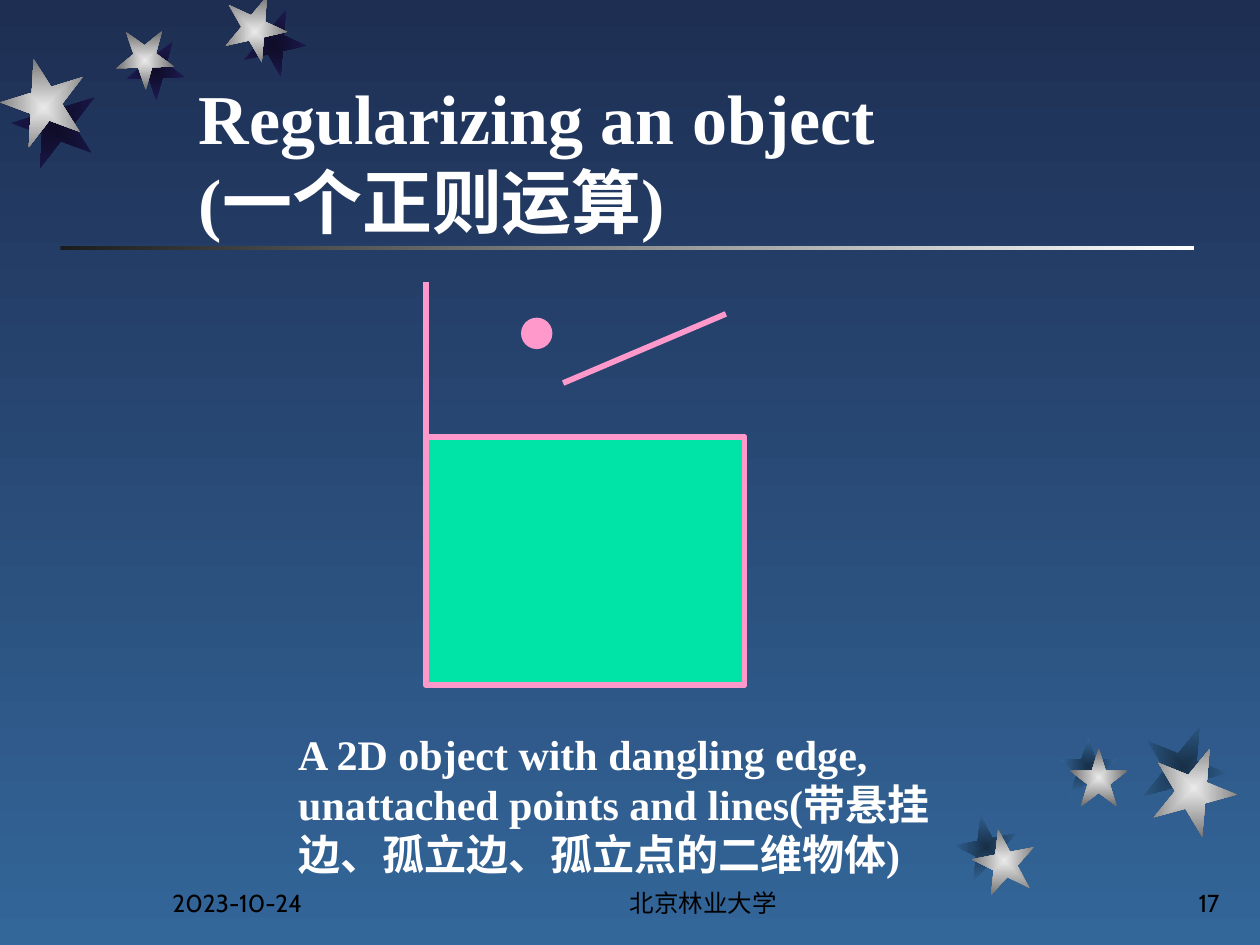
from dataclasses import dataclass
from lxml import etree
from pptx import Presentation
from pptx.dml.color import RGBColor as Rgb
from pptx.enum.shapes import MSO_CONNECTOR as Conn, MSO_SHAPE as Kind
from pptx.enum.text import MSO_ANCHOR as Anchor, MSO_AUTO_SIZE as Auto, PP_ALIGN as Align
from pptx.oxml import parse_xml
from pptx.oxml.ns import nsdecls, qn
from pptx.util import Pt


@dataclass(frozen=True)
class Theme:
    """Colours, fonts and type sizes of the slide."""
    sky: tuple = ("1E2E53", "336699")
    rule: tuple = ("1C1C1C", "FFFFFF")
    lit: tuple = ("EAEAEA", "6C6C6C")
    night: tuple = ("0E0C26", "1E1A53")
    dusk: tuple = ("182F47", "336699")
    white: str = "FFFFFF"
    black: str = "000000"
    pink: str = "FF99CC"
    green: str = "00E4A8"
    serif: str = "Times New Roman"
    sans: str = "Cabin"
    head: int = 40
    body: int = 24
    foot: int = 14
    edge: float = 3.25


T = Theme()


def blend(fill, pair, angle=0, burst=False):
    """Fill with two colours, along an angle or out from the centre."""
    fill.gradient()
    for stop, tone, pos in zip(fill.gradient_stops, pair, (0, 1)):
        stop.color.rgb = Rgb.from_string(tone)
        stop.position = pos
    fill.gradient_angle = angle
    if burst:
        lin = fill._xPr.find(".//" + qn("a:lin"))
        lin.getparent().replace(lin, parse_xml(
            f'<a:path {nsdecls("a")} path="rect">'
            '<a:fillToRect l="50000" t="50000" r="50000" b="50000"/></a:path>'))


def write(frame, text, size, font=T.serif, tone=T.white, bold=False,
          align=Align.LEFT, anchor=Anchor.TOP, fit=Auto.NONE):
    """Put formatted text in a frame."""
    frame.word_wrap = True
    frame.auto_size = fit
    frame.vertical_anchor = anchor
    para = frame.paragraphs[0]
    para.text = text
    para.alignment = align
    for run in para.runs:
        run.font.name = font
        run.font.size = Pt(size)
        run.font.bold = bold
        run.font.color.rgb = Rgb.from_string(tone)


def shape(slide, kind, box, tone=None, line=None, width=T.edge):
    """Add a flat shape with an optional solid fill and outline."""
    item = slide.shapes.add_shape(kind, *map(Pt, box))
    item.shadow.inherit = False
    if tone:
        item.fill.solid()
        item.fill.fore_color.rgb = Rgb.from_string(tone)
    if line:
        item.line.color.rgb = Rgb.from_string(line)
        item.line.width = Pt(width)
    else:
        item.line.fill.background()
    return item


def edge(slide, start, end):
    """Draw a straight pink edge."""
    item = slide.shapes.add_connector(Conn.STRAIGHT, *map(Pt, (*start, *end)))
    item.line.color.rgb = Rgb.from_string(T.pink)
    item.line.width = Pt(T.edge)
    etree.SubElement(item._element.spPr, qn("a:effectLst"))


def stars(slide, box, spots, shade):
    """Scatter lit stars over their shaded twins."""
    left, top = box[:2]
    for pair, cast in ((shade, 1), (T.lit, 0)):
        for x, y, size, turn, dx, dy in spots:
            place = (left + x + cast * dx, top + y + cast * dy, size, size)
            star = shape(slide, Kind.STAR_5_POINT, place)
            star.rotation = turn
            blend(star.fill, pair, burst=True)


def title(slide, box, text):
    """Place the title with its rule below."""
    left, top, wide, high = box
    head = slide.shapes.title
    head.left, head.top, head.width, head.height = map(Pt, box)
    write(head.text_frame, text, T.head, bold=True, anchor=Anchor.BOTTOM)
    rule = shape(slide, Kind.RECTANGLE, (left - 72, top + high - 2, 648, 2.5))
    blend(rule.fill, T.rule)


def label(slide, box, text, size, **form):
    """Add a text box."""
    item = slide.shapes.add_textbox(*map(Pt, box))
    write(item.text_frame, text, size, **form)


def footer(slide, box, date, name, page):
    """Set date, name and page number along the foot."""
    left, top, wide, high = box
    cells = ((0, 150, date, Align.LEFT),
             (196.5, 228, name, Align.CENTER),
             (wide - 150, 150, page, Align.RIGHT))
    for x, w, text, align in cells:
        label(slide, (left + x, top, w, high), text, T.foot, font=T.sans,
              tone=T.black, align=align, anchor=Anchor.BOTTOM)


def figure(slide, box):
    """Draw the square with its dangling edge, loose line and point."""
    left, top, wide, high = box
    base = 88.3
    shape(slide, Kind.RECTANGLE, (left, top + base, wide, high - base), T.green, T.pink)
    edge(slide, (left, top), (left, top + 102))
    edge(slide, (left + 171.5, top + 18), (left + 78.5, top + 57.5))
    shape(slide, Kind.OVAL, (left + 54.8, top + 20.5, 17.2, 17.2), T.pink, T.pink, 0.75)


def main():
    """Build and save the slide."""
    deck = Presentation()
    deck.slide_width, deck.slide_height = Pt(720), Pt(540)
    slide = deck.slides.add_slide(deck.slide_layouts[5])
    blend(slide.background.fill, T.sky, 270)
    title(slide, (106.5, 27.4, 540, 115), "Regularizing an object\v(一个正则运算)")
    stars(slide, (0, 0, 176, 98), (
        (127.6, 0, 36, 167.3, 10.8, 7.9),
        (66.2, 18, 33.2, 178.3, 6, 6),
        (0.7, 37.4, 48.2, 200.3, 6.5, 11.8)), T.night)
    stars(slide, (540, 414, 180, 100), (
        (15.8, 59.8, 36, 349, -10.1, -7.9),
        (71.3, 13.7, 33.2, 0, -6, -6.4),
        (118.1, 12.2, 48.2, 22, -5.8, -12.2)), T.dusk)
    footer(slide, (91.5, 492, 612.5, 36), "2023-10-24", "北京林业大学", "17")
    label(slide, (163.3, 412.5, 384, 93.6),
          "A 2D object with dangling edge, unattached points and lines"
          "(带悬挂边、孤立边、孤立点的二维物体)",
          T.body, bold=True, fit=Auto.SHAPE_TO_FIT_TEXT)
    figure(slide, (243.3, 161.4, 182.2, 230.2))
    deck.save("out.pptx")


if __name__ == "__main__":
    main()
